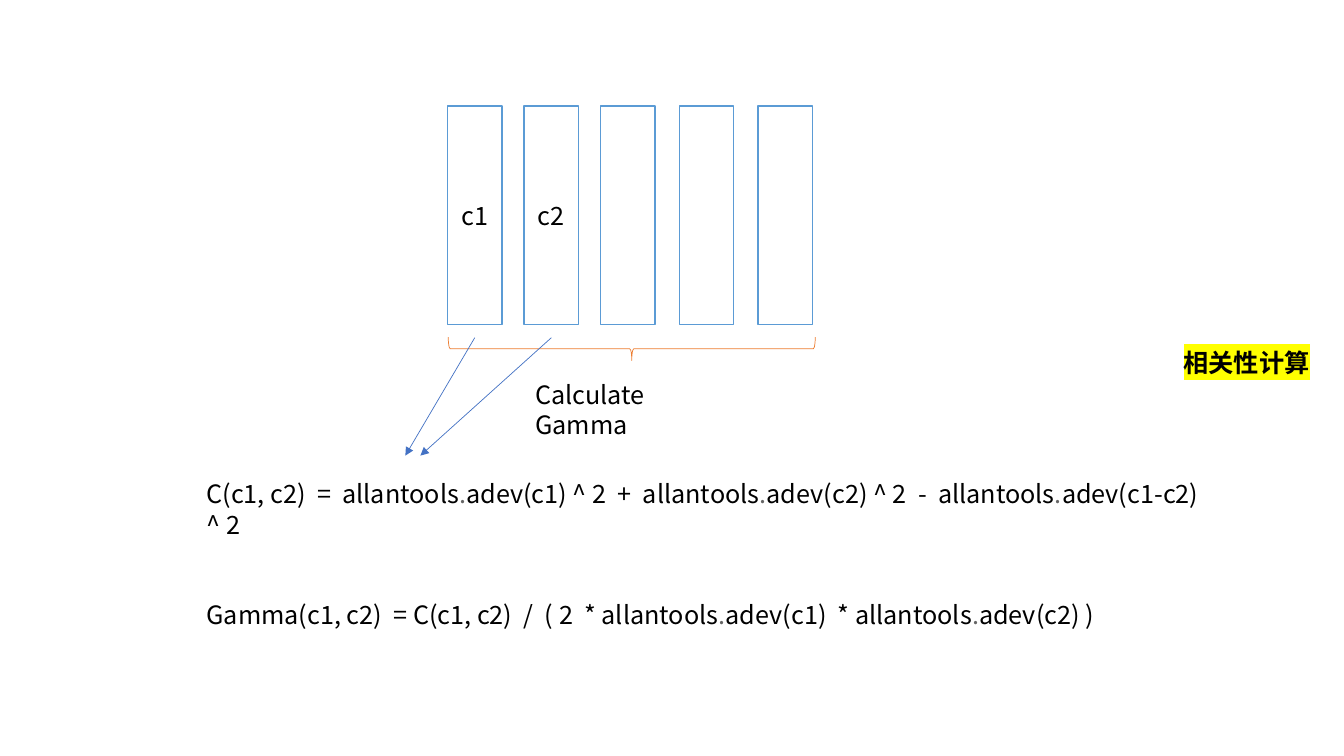
from lxml.etree import SubElement
from pptx import Presentation
from pptx.dml.color import RGBColor
from pptx.enum.shapes import MSO_CONNECTOR, MSO_SHAPE
from pptx.enum.text import MSO_ANCHOR, PP_ALIGN
from pptx.oxml import parse_xml
from pptx.oxml.ns import nsdecls, qn
from pptx.util import Inches, Pt


def rgb(color):
    return RGBColor.from_string(color)


class Diagram:
    """Draws on one slide; all places are percentages of its size."""
    font, size, leading = "Noto Sans CJK SC", 18, 21.6
    ink, dot = "000000", "666666"
    bar_line, brace_line, arrow_line = "5B9BD5", "ED7D31", "4472C4"

    def __init__(self, prs):
        self.prs = prs
        self.slide = prs.slides.add_slide(prs.slide_layouts[6])
        self.shapes = self.slide.shapes

    def place(self, x, y):
        return (round(self.prs.slide_width * x / 100),
                round(self.prs.slide_height * y / 100))

    def run(self, p, text, color=None, bold=False, highlight=None):
        r = p.add_run()
        r.text = text
        r.font.size, r.font.bold = Pt(self.size), bold
        r.font.color.rgb = rgb(color or self.ink)
        r.font.name = self.font
        rPr = r.font._element
        SubElement(rPr, qn("a:ea"), typeface=self.font)
        if highlight:
            rPr.find(qn("a:solidFill")).addnext(parse_xml(
                f'<a:highlight {nsdecls("a")}>'
                f'<a:srgbClr val="{highlight}"/></a:highlight>'))

    def paragraph(self, tf, first=True):
        p = tf.paragraphs[0] if first else tf.add_paragraph()
        p.line_spacing = Pt(self.leading)
        return p

    def shape(self, kind, x, y, w, h, line, weight, fill=None):
        sp = self.shapes.add_shape(kind, *self.place(x, y), *self.place(w, h))
        sp.shadow.inherit = False
        if fill:
            sp.fill.solid()
            sp.fill.fore_color.rgb = rgb(fill)
        else:
            sp.fill.background()
        sp.line.color.rgb, sp.line.width = rgb(line), Pt(weight)
        return sp

    def bar(self, x, y, w, h, label):
        sp = self.shape(MSO_SHAPE.RECTANGLE, x, y, w, h, self.bar_line, 1, "FFFFFF")
        if label:
            tf = sp.text_frame
            tf.vertical_anchor = MSO_ANCHOR.MIDDLE
            p = self.paragraph(tf)
            p.alignment = PP_ALIGN.CENTER
            self.run(p, label)

    def brace(self, x, y, w, h):
        sp = self.shape(MSO_SHAPE.LEFT_BRACE, x, y, w, h, self.brace_line, 0.5)
        sp.rotation = 270

    def arrow(self, start, end):
        cx = self.shapes.add_connector(
            MSO_CONNECTOR.STRAIGHT, *self.place(*start), *self.place(*end))
        cx.line.color.rgb, cx.line.width = rgb(self.arrow_line), Pt(0.5)
        SubElement(cx.line._get_or_add_ln(), qn("a:tailEnd"), type="triangle")
        SubElement(cx._element.spPr, qn("a:effectLst"))

    def text_box(self, x, y, w, h):
        tf = self.shapes.add_textbox(*self.place(x, y), *self.place(w, h)).text_frame
        tf.word_wrap = True
        return tf

    def text(self, x, y, w, h, words, **style):
        self.run(self.paragraph(self.text_box(x, y, w, h)), words, **style)

    def formulas(self, x, y, w, h, lines, gap):
        tf = self.text_box(x, y, w, h)
        for i, line in enumerate(lines):
            p = self.paragraph(tf, first=i == 0)
            if i:
                p.space_before = Pt(gap)
            for j, part in enumerate(line.split(".")):
                if j:
                    self.run(p, ".", self.dot)
                self.run(p, part)


def main():
    prs = Presentation()
    prs.slide_width, prs.slide_height = Inches(13.33), Inches(7.5)
    d = Diagram(prs)

    # Data columns
    bar_w, bar_top, bar_h = 4.05, 14, 28.93
    lefts = [33.3, 39, 44.7, 50.55, 56.4]
    for left, label in zip(lefts, ["c1", "c2", "", "", ""]):
        d.bar(left, bar_top, bar_w, bar_h, label)

    # Brace under the columns
    d.brace(46.14, 21.87, 1.73, 48.53)
    d.text(39.08, 49.47, 15.75, 5.33, "Calculate Gamma")

    # Arrows from the first two columns to the formula
    for left, tip in zip(lefts, [30.16, 31.28]):
        d.arrow((left + bar_w / 2, 44.67), (tip, 60.27))

    # Formulas, two lines apart
    d.formulas(14.63, 62.67, 75.84, 17.47, [
        "C(c1, c2)  =  allantools.adev(c1) ^ 2  +  allantools.adev(c2) ^ 2"
        "  -  allantools.adev(c1-c2) ^ 2",
        "Gamma(c1, c2)  = C(c1, c2)  /  ( 2  * allantools.adev(c1)"
        "  * allantools.adev(c2) )",
    ], gap=2 * d.leading)

    # Topic tag
    d.text(87.32, 45.33, 12, 5.33, "相关性计算", bold=True, highlight="FFFF00")

    prs.save("out.pptx")


if __name__ == "__main__":
    main()
